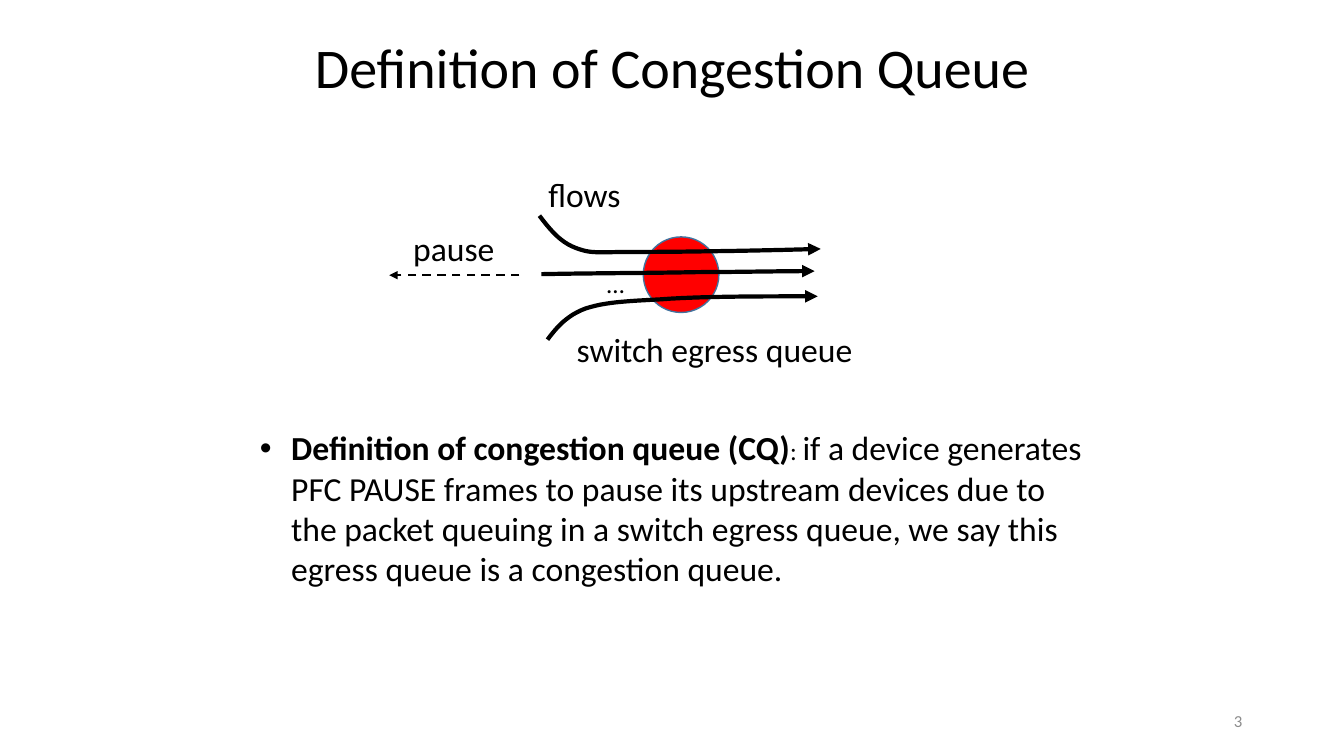
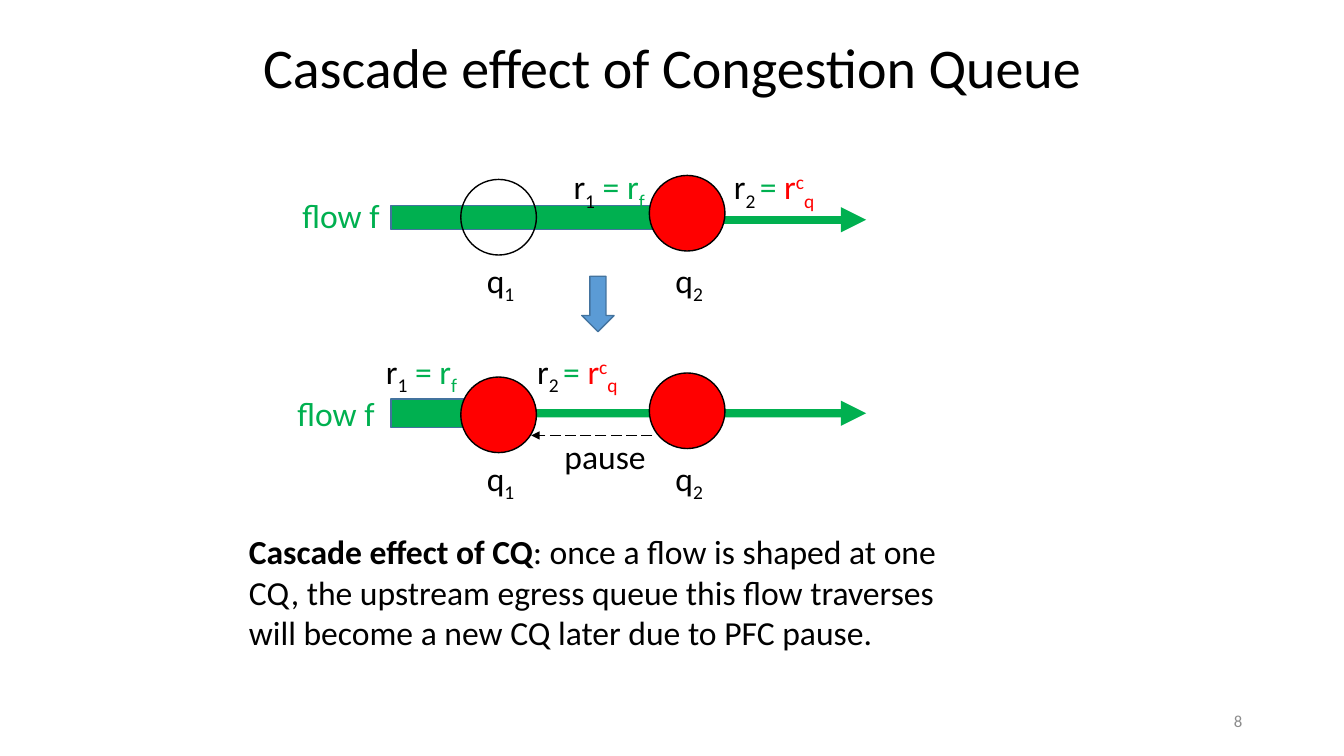
from dataclasses import dataclass
from typing import Optional

from lxml import etree
from pptx import Presentation
from pptx.dml.color import RGBColor
from pptx.enum.dml import MSO_LINE
from pptx.enum.shapes import MSO_CONNECTOR, MSO_SHAPE
from pptx.enum.text import MSO_ANCHOR, MSO_AUTO_SIZE, PP_ALIGN
from pptx.oxml.ns import qn
from pptx.shapes.autoshape import Shape
from pptx.shapes.connector import Connector
from pptx.slide import Slide
from pptx.util import Inches, Pt

LEFT, CENTER, RIGHT = PP_ALIGN.LEFT, PP_ALIGN.CENTER, PP_ALIGN.RIGHT
TOP, MIDDLE = MSO_ANCHOR.TOP, MSO_ANCHOR.MIDDLE
FIT, NO_FIT = MSO_AUTO_SIZE.SHAPE_TO_FIT_TEXT, MSO_AUTO_SIZE.NONE
OVAL, RECTANGLE, DOWN_ARROW = MSO_SHAPE.OVAL, MSO_SHAPE.RECTANGLE, MSO_SHAPE.DOWN_ARROW
DASH, LONG_DASH = MSO_LINE.DASH, MSO_LINE.LONG_DASH
STRAIGHT = MSO_CONNECTOR.STRAIGHT
RIGHT_SIDE = 3

Point = tuple[float, float]
Box = tuple[float, float, float, float]


@dataclass(frozen=True)
class Theme:
    font: str = "Calibri"
    black: str = "000000"
    gray: str = "8C8C8C"
    red: str = "FF0000"
    green: str = "00B050"
    blue: str = "5B9BD5"
    outline: str = "43739E"
    title_size: float = 40
    body_size: float = 24
    small_size: float = 18
    number_size: float = 12


THEME = Theme()


@dataclass(frozen=True)
class Span:
    """A piece of text with one format; baseline is in percent."""
    text: str
    color: str = THEME.black
    size: float = THEME.body_size
    bold: bool = False
    baseline: int = 0


@dataclass(frozen=True)
class Curve:
    """A start point and cubic pieces (two controls and an end)."""
    start: Point
    pieces: tuple[tuple[Point, Point, Point], ...]


@dataclass(frozen=True)
class FlowRow:
    """One state of the flow that passes queues q1 and q2."""
    queue_top: float
    first_queue_fill: Optional[str]
    bar: Box
    arrow_start: float
    arrow_y: float
    flow_label: Point
    rate_top: float
    first_rate_left: float
    second_rate_left: float
    joined: bool


# Shared geometry and wording
TITLE_BOX: Box = (1.72, 0.27, 9.89, 0.77)
NUMBER_BOX: Box = (9.42, 6.95, 3, 0.4)
QUEUE_SIZE = 0.75
LABEL_HEIGHT = 0.5
ARROW_END = 8.59
CURVE_STEPS = 12

FIRST_RATE = [Span("r"), Span("1", baseline=-25), Span(" = r", THEME.green),
              Span("f", THEME.green, baseline=-25)]
SECOND_RATE = [Span("r"), Span("2 ", baseline=-25), Span("= ", THEME.green),
               Span("r", THEME.red), Span("c", THEME.red, baseline=30),
               Span("q", THEME.red, baseline=-25)]

FLOWS = (
    Curve((5.35, 2.14), (
        ((5.45, 2.27), (5.55, 2.4), (5.71, 2.46)),
        ((5.87, 2.52), (5.9, 2.5), (6.31, 2.5)),
        ((6.71, 2.5), (7.42, 2.49), (8.14, 2.47)))),
    Curve((5.37, 2.72), (
        ((5.88, 2.71), (6.4, 2.71), (6.91, 2.7)),
        ((7.3, 2.7), (7.69, 2.69), (8.08, 2.69)))),
    Curve((5.43, 3.37), (
        ((5.52, 3.25), (5.62, 3.13), (5.81, 3.06)),
        ((6, 3), (6.17, 2.99), (6.55, 2.97)),
        ((6.94, 2.94), (7.52, 2.94), (8.11, 2.94)))),
)

FLOW_ROWS = (
    FlowRow(1.74, None, (3.88, 2.04, 2.93, 0.24), 6.99, 2.18, (2.9, 1.88),
            1.6, 5.59, 7.18, joined=False),
    FlowRow(3.7, THEME.red, (3.88, 3.96, 1.04, 0.28), 4.92, 4.1, (2.85, 3.85),
            3.43, 3.73, 5.23, joined=True),
)


def inches(values: tuple[float, ...]) -> list[int]:
    return [Inches(value) for value in values]


# Text
def add_text(slide: Slide, box: Box, spans: list[Span], align=LEFT, anchor=TOP,
             wrap: bool = True, fit=FIT, bullet: bool = False) -> None:
    frame = slide.shapes.add_textbox(*inches(box)).text_frame
    frame_format = {"word_wrap": wrap, "auto_size": fit, "vertical_anchor": anchor}
    for name, value in frame_format.items():
        setattr(frame, name, value)
    paragraph = frame.paragraphs[0]
    paragraph.alignment = align
    if bullet:
        add_bullet(paragraph)
    for span in spans:
        run = paragraph.add_run()
        run.text = span.text
        font_format = {"name": THEME.font, "size": Pt(span.size), "bold": span.bold}
        for name, value in font_format.items():
            setattr(run.font, name, value)
        run.font.color.rgb = RGBColor.from_string(span.color)
        if span.baseline:
            run.font._element.set("baseline", str(span.baseline * 1000))


def add_bullet(paragraph, indent: float = 0.31) -> None:
    properties = paragraph._p.get_or_add_pPr()
    properties.set("marL", str(Inches(indent)))
    properties.set("indent", str(-Inches(indent)))
    etree.SubElement(properties, qn("a:buFont")).set("typeface", "Arial")
    etree.SubElement(properties, qn("a:buChar")).set("char", "•")


def add_label(slide: Slide, left: float, top: float, width: float,
              spans: list[Span], height: float = LABEL_HEIGHT) -> None:
    add_text(slide, (left, top, width, height), spans, wrap=False)


# Shapes and lines
def add_filled(slide: Slide, kind, box: Box, fill: Optional[str],
               outline: str) -> Shape:
    shape = slide.shapes.add_shape(kind, *inches(box))
    shape.shadow.inherit = False
    if fill:
        shape.fill.solid()
        shape.fill.fore_color.rgb = RGBColor.from_string(fill)
    else:
        shape.fill.background()
    shape.line.color.rgb = RGBColor.from_string(outline)
    shape.line.width = Pt(1)
    return shape


def style_arrow(line, color: str, width: float, dash=None) -> None:
    line.color.rgb = RGBColor.from_string(color)
    line.width = Pt(width)
    if dash:
        line.dash_style = dash
    etree.SubElement(line._get_or_add_ln(), qn("a:tailEnd")).set("type", "triangle")


def add_arrow(slide: Slide, start: Point, end: Point, color: str, width: float,
              dash=None) -> Connector:
    connector = slide.shapes.add_connector(STRAIGHT, *inches(start + end))
    style_arrow(connector.line, color, width, dash)
    etree.SubElement(connector._element.spPr, qn("a:effectLst"))
    return connector


def curve_points(curve: Curve) -> list[Point]:
    points, start = [], curve.start
    for first, second, end in curve.pieces:
        for step in range(1, CURVE_STEPS + 1):
            t = step / CURVE_STEPS
            u = 1 - t
            weights = (u ** 3, 3 * u * u * t, 3 * u * t * t, t ** 3)
            corners = (start, first, second, end)
            x, y = (sum(weight * corner[axis] for weight, corner in zip(weights, corners))
                    for axis in (0, 1))
            points.append((x, y))
        start = end
    return points


def add_flow(slide: Slide, curve: Curve) -> None:
    builder = slide.shapes.build_freeform(*inches(curve.start))
    builder.add_line_segments([inches(point) for point in curve_points(curve)],
                              close=False)
    shape = builder.convert_to_shape()
    shape.shadow.inherit = False
    shape.fill.background()
    style_arrow(shape.line, THEME.black, 3)


def add_queue(slide: Slide, left: float, top: float, fill: Optional[str],
              outline: str = THEME.black) -> None:
    add_filled(slide, OVAL, (left, top, QUEUE_SIZE, QUEUE_SIZE), fill, outline)


def add_flow_row(slide: Slide, row: FlowRow) -> None:
    bar = add_filled(slide, RECTANGLE, row.bar, THEME.green, THEME.outline)
    arrow = add_arrow(slide, (row.arrow_start, row.arrow_y),
                      (ARROW_END, row.arrow_y), THEME.green, 6)
    if row.joined:
        arrow.begin_connect(bar, RIGHT_SIDE)
    add_queue(slide, 6.44, row.queue_top, THEME.red)
    add_label(slide, *row.flow_label, 0.98, [Span("flow f", THEME.green)])
    add_label(slide, row.first_rate_left, row.rate_top, 0.94, FIRST_RATE)
    add_label(slide, row.second_rate_left, row.rate_top, 1.13, SECOND_RATE)
    add_queue(slide, 4.57, row.queue_top + 0.04, row.first_queue_fill)
    for left, number in ((4.73, "1"), (6.6, "2")):
        add_label(slide, left, row.queue_top + 0.79, 0.49,
                  [Span("q"), Span(number, baseline=-25)])


# Slides
def add_base_slide(presentation, title: str, number: int) -> Slide:
    slide = presentation.slides.add_slide(presentation.slide_layouts[6])
    add_text(slide, NUMBER_BOX, [Span(str(number), THEME.gray, THEME.number_size)],
             align=RIGHT, anchor=MIDDLE, fit=NO_FIT)
    add_text(slide, TITLE_BOX, [Span(title, size=THEME.title_size)], align=CENTER)
    return slide


def add_definition_slide(presentation) -> None:
    slide = add_base_slide(presentation, "Definition of Congestion Queue", 3)
    add_queue(slide, 6.38, 2.35, THEME.red, THEME.outline)
    add_label(slide, 5.62, 3.21, 2.97, [Span("switch egress queue")])
    add_label(slide, 5.92, 2.61, 0.38, [Span("…", size=THEME.small_size)], 0.4)
    add_text(slide, (2.48, 4.19, 8.37, 1.72), [
        Span("Definition of congestion queue (CQ)", bold=True),
        Span(": ", size=THEME.small_size),
        Span("if a device generates PFC PAUSE frames to pause its upstream devices "
             "due to the packet queuing in a switch egress queue, we say this "
             "egress queue is a congestion queue."),
    ], bullet=True)
    for flow in FLOWS:
        add_flow(slide, flow)
    add_label(slide, 5.34, 1.68, 0.93, [Span("flows")])
    add_arrow(slide, (5.15, 2.73), (3.86, 2.73), THEME.black, 1.5, DASH)
    add_label(slide, 4, 2.21, 1.06, [Span("pause")])


def add_cascade_slide(presentation) -> None:
    slide = add_base_slide(presentation, "Cascade effect of Congestion Queue", 8)
    for row in FLOW_ROWS:
        add_flow_row(slide, row)
    add_filled(slide, DOWN_ARROW, (5.77, 2.74, 0.32, 0.55), THEME.blue, THEME.outline)
    add_text(slide, (2.37, 5.22, 7.38, 1.31), [
        Span("Cascade effect of CQ", bold=True),
        Span(": once a flow is shaped at one CQ, the upstream egress queue this "
             "flow traverses will become a new CQ later due to PFC pause."),
    ])
    add_label(slide, 5.5, 4.28, 1.02, [Span("pause")])
    add_arrow(slide, (6.47, 4.32), (5.27, 4.32), THEME.black, 1, LONG_DASH)


def main() -> None:
    presentation = Presentation()
    presentation.slide_width = Inches(13.33)
    presentation.slide_height = Inches(7.5)
    add_definition_slide(presentation)
    add_cascade_slide(presentation)
    presentation.save("out.pptx")


if __name__ == "__main__":
    main()
